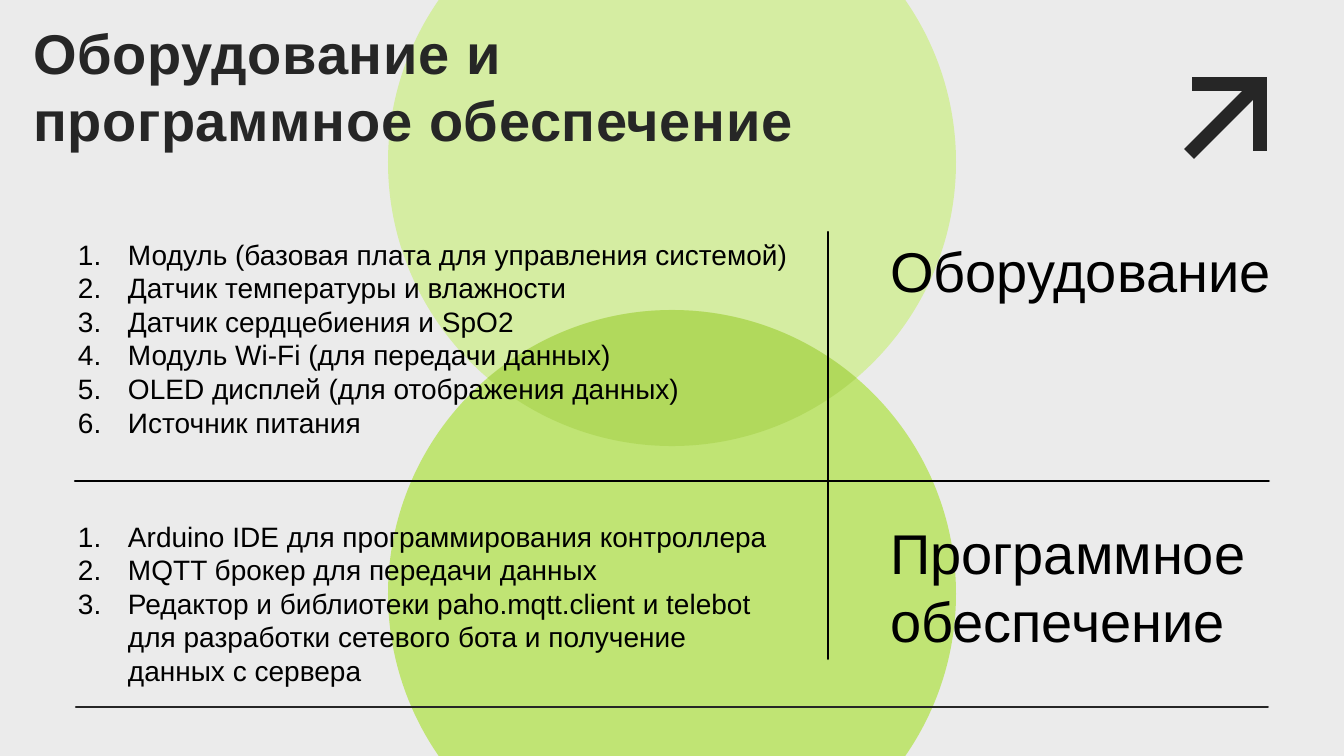
from itertools import pairwise
from math import acos, cos, degrees, pi, radians, sin, tan

from lxml.etree import SubElement
from pptx import Presentation
from pptx.dml.color import RGBColor
from pptx.enum.shapes import MSO_CONNECTOR
from pptx.enum.text import MSO_ANCHOR, MSO_AUTO_SIZE, PP_ALIGN
from pptx.oxml.ns import qn
from pptx.util import Emu, Pt

WIDTH, HEIGHT = 1344, 756
SCALE = 12192000 / WIDTH
CENTER, RADIUS, UPPER, LOWER = 672, 284, 162, 594

HARDWARE = [
    "Модуль (базовая плата для управления системой)",
    "Датчик температуры и влажности",
    "Датчик сердцебиения и SpO2",
    "Модуль Wi-Fi (для передачи данных)",
    "OLED дисплей (для отображения данных)",
    "Источник питания",
]
SOFTWARE = [
    "Arduino IDE для программирования контроллера",
    "MQTT брокер для передачи данных",
    "Редактор и библиотеки paho.mqtt.client и telebot",
    "для разработки сетевого бота и получение",
    "данных с сервера",
]


def px(value):
    return Emu(round(value * SCALE))


def color(code):
    return RGBColor.from_string(code)


def write(para, text, size=20, ink="000000", bold=False, pitch=24, spacing=0, indent=0, numbered=False):
    para.alignment = PP_ALIGN.LEFT
    para.line_spacing = Pt(pitch)
    para.space_before = para.space_after = Pt(0)
    properties = para._p.get_or_add_pPr()
    properties.set("marL", str(px(indent)))
    properties.set("indent", str(-px(indent) if numbered else 0))
    if numbered:
        SubElement(properties, qn("a:buAutoNum"), type="arabicPeriod")
    else:
        SubElement(properties, qn("a:buNone"))
    span = para.add_run()
    span.text = text
    span.font.name = "Arial"
    span.font.size = Pt(size)
    span.font.bold = bold
    span.font.color.rgb = color(ink)
    if spacing:
        span._r.get_or_add_rPr().set("spc", str(spacing))


def arc(middle_y, direction, half):
    first, last = direction - half, direction + half
    quarters = [angle for angle in range(-360, 720, 90) if first < angle < last]
    angles = [radians(angle) for angle in [first, *quarters, last]]

    def point(angle, reach=0):
        return (CENTER + RADIUS * (cos(angle) + reach * cos(angle + pi / 2)),
                middle_y + RADIUS * (sin(angle) + reach * sin(angle + pi / 2)))

    points = [point(angles[0])]
    for start, end in pairwise(angles):
        reach = 4 / 3 * tan((end - start) / 4)
        points += [point(start, reach), point(end, -reach), point(end)]
    return points


class SlideBuilder:
    """Hold the slide style and add its elements."""

    dark = "262626"
    black = "000000"

    def __init__(self, deck):
        self.page = deck.slides.add_slide(deck.slide_layouts[4])
        self.page.background.fill.solid()
        self.page.background.fill.fore_color.rgb = color("EBEBEB")

    def outline(self, points, fill, opacity=100):
        start, *rest = [(px(x), px(y)) for x, y in points]
        builder = self.page.shapes.build_freeform(*start)
        builder.add_line_segments(rest, close=True)
        shape = builder.convert_to_shape()
        steps = list(shape.element.spPr.iter(qn("a:lnTo")))
        for first in range(0, len(rest), 3):
            curve = steps[first]
            curve.tag = qn("a:cubicBezTo")
            for step in steps[first + 1:first + 3]:
                curve.append(step[0])
                step.getparent().remove(step)
        shape.shadow.inherit = False
        shape.line.fill.background()
        shape.fill.solid()
        shape.fill.fore_color.rgb = color(fill)
        if opacity < 100:
            tint = shape.element.spPr.find(qn("a:solidFill"))[0]
            SubElement(tint, qn("a:alpha"), val=str(opacity * 1000))

    def line(self, ends, ink, weight=1.5, group=None, cap="rnd"):
        shapes = (group or self.page).shapes
        link = shapes.add_connector(MSO_CONNECTOR.STRAIGHT, *map(px, ends))
        link.line.color.rgb = color(ink)
        link.line.width = Pt(weight)
        link.line._get_or_add_ln().set("cap", cap)
        SubElement(link.element.spPr, qn("a:effectLst"))

    def arrow(self):
        group = self.page.shapes.add_group_shape()
        for ends in [(1199, 84, 1260, 84), (1260, 84, 1260, 144), (1194, 149, 1253, 90)]:
            self.line(ends, self.dark, 10, group, "sq")

    def place(self, index, frame, texts, margins=(10, 5), numbers=0, **style):
        box = self.page.placeholders[index]
        box.element.getparent().append(box.element)
        box.left, box.top, box.width, box.height = map(px, frame)
        words = box.text_frame
        words.word_wrap = True
        words.auto_size = MSO_AUTO_SIZE.NONE
        words.vertical_anchor = MSO_ANCHOR.TOP
        words.margin_left = words.margin_right = px(margins[0])
        words.margin_top = words.margin_bottom = px(margins[1])
        for position, text in enumerate(texts):
            para = words.add_paragraph() if position else words.paragraphs[0]
            write(para, text, numbered=position < numbers, **style)


def main():
    deck = Presentation()
    deck.slide_width, deck.slide_height = px(WIDTH), px(HEIGHT)
    slide = SlideBuilder(deck)

    visible = 180 - degrees(acos(UPPER / RADIUS))
    overlap = degrees(acos((LOWER - UPPER) / 2 / RADIUS))
    slide.outline(arc(UPPER, 90, visible), "D5EDA2")
    slide.outline(arc(LOWER, 270, visible), "C0E474")
    slide.outline(arc(UPPER, 90, overlap) + arc(LOWER, 270, overlap)[1:], "90C226", 30)
    slide.arrow()
    slide.line((76, 707, 1268, 707), slide.dark)

    slide.place(0, (33, 18, 795, 360), ["Оборудование и программное обеспечение"],
                margins=(0, 0), size=40, ink=slide.dark, bold=True, pitch=48, spacing=50)
    rows = [
        (232, HARDWARE, 6, 1139, 214, "Оборудование", 78),
        (514, SOFTWARE, 3, 793, 179, "Программное обеспечение", 146),
    ]
    for row, (top, items, numbers, width, height, heading, heading_height) in enumerate(rows):
        slide.place(2 + 2 * row, (68, top, width, height), items, numbers=numbers, indent=50)
        slide.place(1 + 2 * row, (880, top, 421, heading_height), [heading], size=40, pitch=48)

    slide.line((828, 232, 828, 659), slide.black)
    slide.line((75, 481, 1269, 481), slide.black)
    deck.save("out.pptx")


if __name__ == "__main__":
    main()
